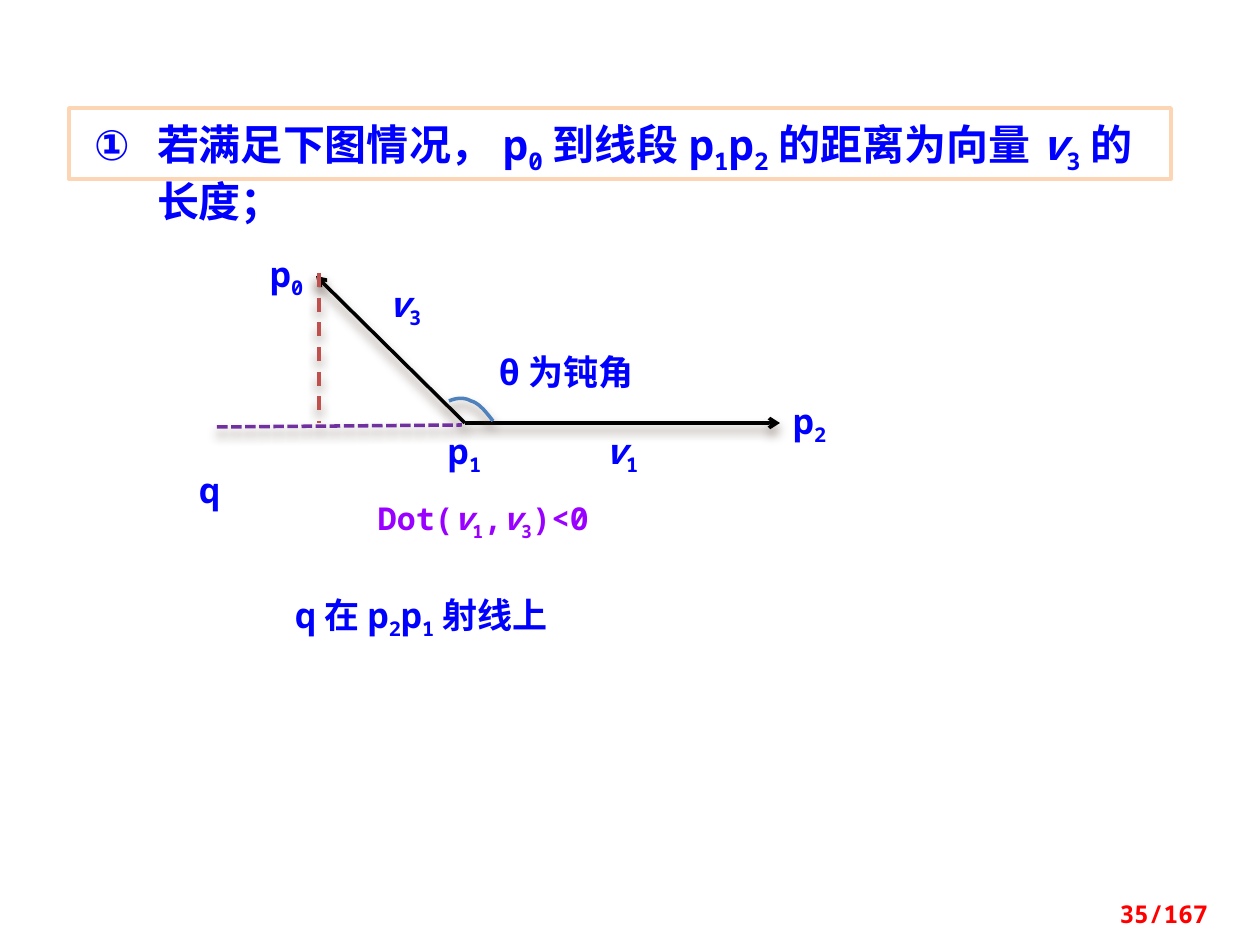
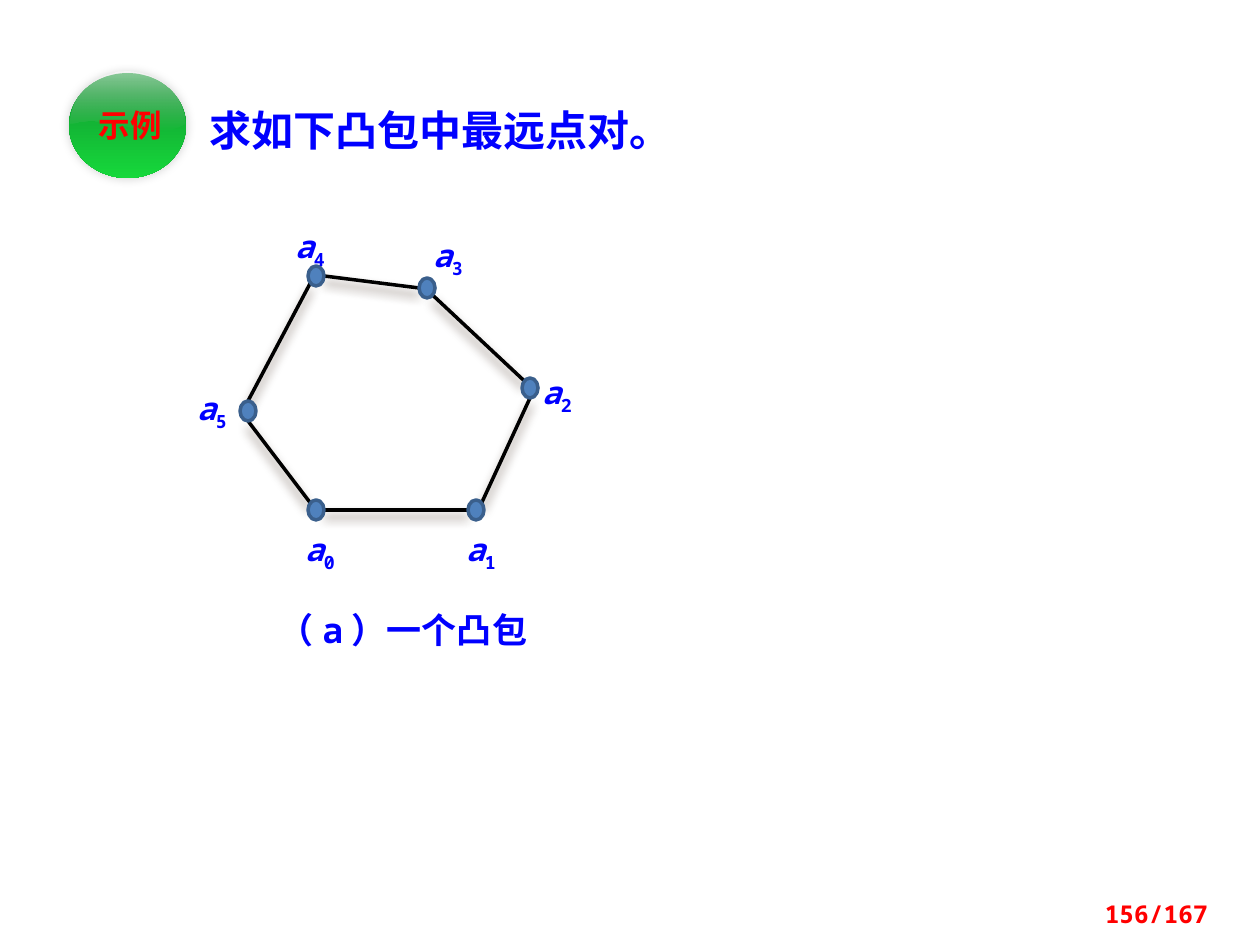
from dataclasses import dataclass
from itertools import groupby
from math import cos, radians, sin

from lxml import etree
from pptx import Presentation
from pptx.dml.color import RGBColor
from pptx.enum import dml, shapes, text
from pptx.oxml import ns
from pptx.util import Emu, Inches, Pt

WIDTH, HEIGHT = 1260, 945
SCALE = Inches(10) / WIDTH


@dataclass(frozen=True)
class Theme:
    font: str = "Noto Sans Mono"
    cjk_font: str = "Noto Sans CJK SC"
    blue: str = "0000FF"
    purple: str = "9900FF"
    red: str = "FF0000"
    black: str = "000000"
    ray: str = "7030A0"
    height: str = "C0504D"
    accent: str = "4F81BD"
    accent_edge: str = "3A5F8C"
    frame: str = "FCD5B5"
    white: str = "FFFFFF"
    heading: int = 24
    label: int = 20
    small: int = 18
    page: int = 14
    stroke: int = 2
    # Shadow: colour, opacity %, blur pt, distance pt, angle
    line_shadow: tuple = ("4E3B30", 60, 6, 4, 90)
    badge_shadow: tuple = ("000000", 20, 6, 0, 315)
    # Gradient stops, top to bottom: colour, opacity %
    badge_fill: tuple = (("10942F", 100), ("16D83B", 100))
    gloss_fill: tuple = (("FFFFFF", 53), ("B6B6B6", 0))


THEME = Theme()

# Content: "_x" is a subscript character, "*x" an italic one
DISTANCE_TITLE = "若满足下图情况，p_0到线段p_1p_2的距离为向量*v_3的长度；"
DISTANCE_LABELS = [  # words, box, size, colour
    ("q", (186, 462, 49, 55), THEME.label, THEME.blue),
    ("p_1", (435, 423, 69, 55), THEME.label, THEME.blue),
    ("p_2", (780, 393, 69, 55), THEME.label, THEME.blue),
    ("p_0", (257, 246, 69, 55), THEME.label, THEME.blue),
    ("θ为钝角", (486, 344, 186, 55), THEME.label, THEME.blue),
    ("Dot(*v_1,*v_3)<0", (365, 493, 280, 50), THEME.small, THEME.purple),
    ("*v_1", (592, 423, 69, 55), THEME.label, THEME.blue),
    ("*v_3", (375, 276, 69, 55), THEME.label, THEME.blue),
    ("q在p_2p_1射线上", (282, 587, 305, 55), THEME.label, THEME.blue),
]
P1 = (465, 423)
DISTANCE_LINES = [  # start, end, colour, dash, arrow
    (P1, (316, 276), THEME.black, None, True),
    (P1, (780, 423), THEME.black, None, True),
    ((217, 427), (462, 425), THEME.ray, dml.MSO_LINE.SQUARE_DOT, False),
    ((319, 273), (319, 423), THEME.height, dml.MSO_LINE.DASH, False),
]
ANGLE_ARC = [(449, 401),
             (456, 398), (464, 397), (471, 401),
             (479, 403), (486, 412), (493, 421)]

HULL_TITLE = "求如下凸包中最远点对。"
HULL_CAPTION = "（a）一个凸包"
BADGE_WORD = "示例"
HULL_POINTS = [  # centre of the point, corner of its label
    ((316, 510), (305, 530)),
    ((476, 510), (466, 530)),
    ((530, 388), (542, 373)),
    ((427, 288), (433, 236)),
    ((316, 276), (295, 227)),
    ((248, 411), (197, 389)),
]
# Angles, clockwise from the right, where each edge leaves and meets a point
HULL_EDGES = [(0, 180), (315, 90), (225, 45), (180, 0), (135, 270), (90, 225)]
POINT_SIZE = (16, 20)
GLOSS = [(171, 89),
         (180, 100), (185, 111), (185, 123),
         (145, 144), (118, 111), (71, 123),
         (71, 110), (76, 97), (86, 88),
         (97, 78), (111, 72), (127, 72),
         (145, 72), (160, 79), (171, 89)]


# Helpers
def px(*lengths):
    return [Emu(round(length * SCALE)) for length in lengths]


def rgb(colour):
    return RGBColor.from_string(colour)


def add_child(parent, tag, **attributes):
    values = {name: str(value) for name, value in attributes.items()}
    return etree.SubElement(parent, ns.qn(tag), values)


def styled_characters(markup):
    characters = iter(markup)
    for character in characters:
        if character in "_*":
            yield character, next(characters)
        else:
            yield "", character


def write(shape, markup, size, colour, font=THEME.font, align=text.PP_ALIGN.LEFT,
          anchor=text.MSO_ANCHOR.TOP, margins=(13, 6, 13, 6)):
    frame = shape.text_frame
    frame.word_wrap = True
    frame.auto_size = text.MSO_AUTO_SIZE.NONE
    frame.vertical_anchor = anchor
    (frame.margin_left, frame.margin_top,
     frame.margin_right, frame.margin_bottom) = px(*margins)
    paragraph = frame.paragraphs[0]
    paragraph.alignment = align
    for style, pairs in groupby(styled_characters(markup), key=lambda pair: pair[0]):
        run = paragraph.add_run()
        run.text = "".join(character for _, character in pairs)
        run.font.size = Pt(size)
        run.font.bold = True
        run.font.italic = style == "*"
        run.font.color.rgb = rgb(colour)
        run.font.name = font
        properties = run._r.get_or_add_rPr()
        add_child(properties, "a:ea", typeface=font)
        if style == "_":
            properties.set("baseline", "-25000")
    return paragraph


def add_label(slide, markup, box, size, colour, **options):
    return write(slide.shapes.add_textbox(*px(*box)), markup, size, colour, **options)


def set_shadow(shape, shadow):
    colour, opacity, blur, distance, angle = shadow
    effects = add_child(shape._element.spPr, "a:effectLst")
    outer = add_child(effects, "a:outerShdw", blurRad=Pt(blur), dist=Pt(distance),
                      dir=angle * 60000, rotWithShape=0)
    tint = add_child(outer, "a:srgbClr", val=colour)
    add_child(tint, "a:alpha", val=opacity * 1000)


def set_gradient(shape, stops):
    shape.fill.gradient()
    shape.fill.gradient_angle = 270
    for position, (stop, (colour, _)) in enumerate(zip(shape.fill.gradient_stops, stops)):
        stop.position = position
        stop.color.rgb = rgb(colour)
    tints = shape._element.spPr.iter(ns.qn("a:srgbClr"))
    for tint, (_, opacity) in zip(list(tints), stops):
        add_child(tint, "a:alpha", val=opacity * 1000)
    shape.line.fill.background()


def set_line(shape, colour):
    shape.line.color.rgb = rgb(colour)
    shape.line.width = Pt(THEME.stroke)


def add_line(slide, start, end, colour, dash=None, arrow=False):
    connector = slide.shapes.add_connector(
        shapes.MSO_CONNECTOR.STRAIGHT, *px(*start, *end))
    set_line(connector, colour)
    if dash:
        connector.line.dash_style = dash
    if arrow:
        add_child(connector.line._get_or_add_ln(), "a:tailEnd", type="arrow")
    set_shadow(connector, THEME.line_shadow)


def add_ellipse(slide, *box):
    return slide.shapes.add_shape(shapes.MSO_SHAPE.OVAL, *px(*box))


def add_curve(slide, knots, close, steps=16):
    """Draw cubic segments: a start, then two controls and an end for each."""
    points = []
    for first in range(0, len(knots) - 1, 3):
        for step in range(1, steps + 1):
            t = step / steps
            weights = ((1 - t) ** 3, 3 * t * (1 - t) ** 2, 3 * t * t * (1 - t), t ** 3)
            segment = knots[first:first + 4]
            points.append(px(*(sum(weight * knot[axis]
                                   for weight, knot in zip(weights, segment))
                               for axis in (0, 1))))
    builder = slide.shapes.build_freeform(*px(*knots[0]))
    builder.add_line_segments(points, close=close)
    return builder.convert_to_shape()


def add_slide(presentation, title, box, page, margins=(13, 6, 13, 6)):
    slide = presentation.slides.add_slide(presentation.slide_layouts[5])
    heading = slide.shapes.title
    heading.left, heading.top, heading.width, heading.height = px(*box)
    write(heading, title, THEME.heading, THEME.blue, margins=margins)
    add_label(slide, f"{page}/167", (1074, 893, 147, 33), THEME.page, THEME.red,
              align=text.PP_ALIGN.RIGHT)
    return slide


# Slides
def build_distance_slide(presentation):
    slide = add_slide(presentation, DISTANCE_TITLE, (69, 108, 1102, 71), 35,
                      margins=(25, 10, 13, 10))
    heading = slide.shapes.title
    heading.fill.solid()
    heading.fill.fore_color.rgb = rgb(THEME.white)
    set_line(heading, THEME.frame)
    properties = heading.text_frame.paragraphs[0]._p.get_or_add_pPr()
    indent, = px(63)
    properties.set("marL", str(indent))
    properties.set("indent", str(-indent))
    add_child(properties, "a:buFont", typeface=THEME.cjk_font)
    add_child(properties, "a:buAutoNum", type="circleNumDbPlain")

    for line in DISTANCE_LINES:
        add_line(slide, *line)
    arc = add_curve(slide, ANGLE_ARC, close=False)
    arc.fill.background()
    set_line(arc, THEME.accent)
    set_shadow(arc, THEME.line_shadow)
    for label in DISTANCE_LABELS:
        add_label(slide, *label)


def rim(centre, angle):
    turn = radians(angle)
    return (centre[0] + POINT_SIZE[0] / 2 * cos(turn),
            centre[1] + POINT_SIZE[1] / 2 * sin(turn))


def build_hull_slide(presentation):
    slide = add_slide(presentation, HULL_TITLE, (197, 98, 571, 63), 156)

    # Edges, then points with their labels
    for index, (leave, meet) in enumerate(HULL_EDGES):
        start = HULL_POINTS[index][0]
        end = HULL_POINTS[(index + 1) % len(HULL_POINTS)][0]
        add_line(slide, rim(start, leave), rim(end, meet), THEME.black)
    width, height = POINT_SIZE
    for index, ((x, y), corner) in enumerate(HULL_POINTS):
        point = add_ellipse(slide, x - width / 2, y - height / 2, width, height)
        point.shadow.inherit = False
        point.fill.solid()
        point.fill.fore_color.rgb = rgb(THEME.accent)
        set_line(point, THEME.accent_edge)
        add_label(slide, f"*a_{index}", (*corner, 39, 38), THEME.small, THEME.blue,
                  margins=(0, 0, 0, 0))
    add_label(slide, HULL_CAPTION, (266, 602, 305, 55), THEME.label, THEME.blue)

    # Glossy badge
    badge = add_ellipse(slide, 69, 73, 117, 105)
    set_gradient(badge, THEME.badge_fill)
    set_shadow(badge, THEME.badge_shadow)
    gloss = add_curve(slide, GLOSS, close=True)
    set_gradient(gloss, THEME.gloss_fill)
    gloss.shadow.inherit = False
    add_label(slide, BADGE_WORD, (76, 103, 108, 43), THEME.small, THEME.red,
              font=THEME.cjk_font, align=text.PP_ALIGN.CENTER,
              anchor=text.MSO_ANCHOR.MIDDLE)


def main():
    presentation = Presentation()
    presentation.slide_width, presentation.slide_height = px(WIDTH, HEIGHT)
    build_distance_slide(presentation)
    build_hull_slide(presentation)
    presentation.save("out.pptx")


if __name__ == "__main__":
    main()
